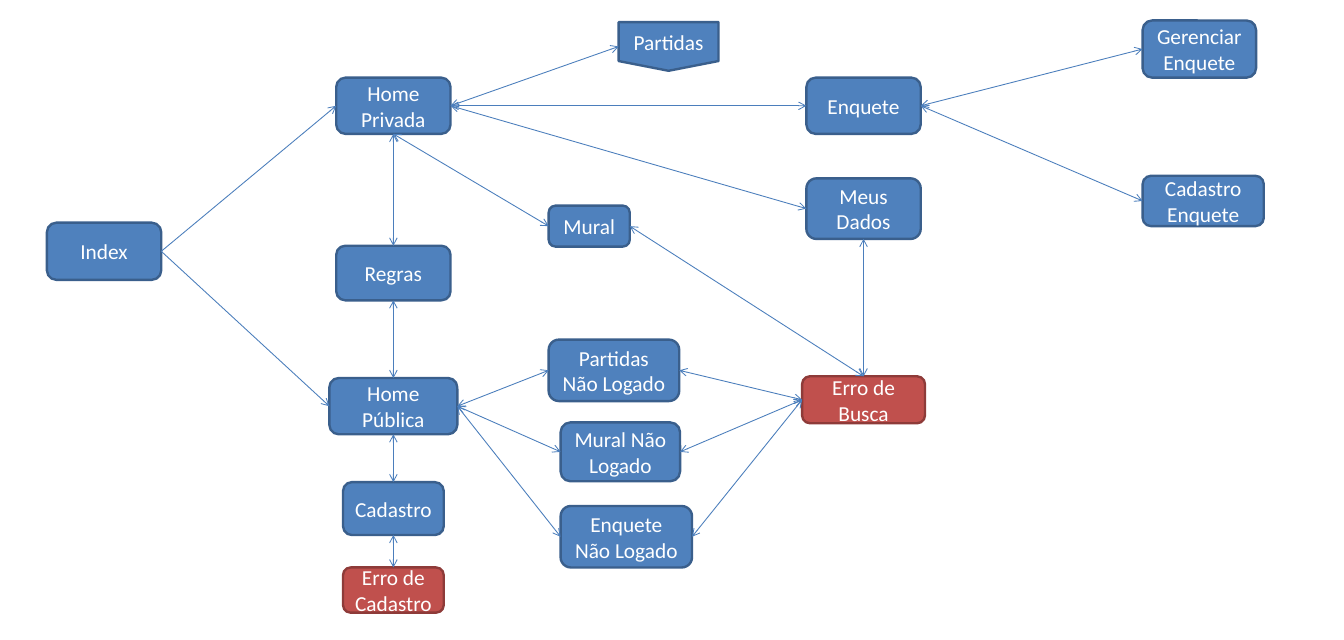
from typing import NamedTuple

from lxml import etree
from pptx import Presentation
from pptx.dml.color import RGBColor
from pptx.enum import shapes as kinds, text
from pptx.oxml import ns
from pptx.util import Inches, Pt

COLORS = {
    "blue": "4F81BD",
    "navy": "3A5F8C",
    "red": "C0504D",
    "maroon": "8E3B39",
    "link": "4B7EBC",
    "white": "FFFFFF",
}
ROUND = kinds.MSO_SHAPE.ROUNDED_RECTANGLE
PAGE = kinds.MSO_SHAPE.FLOWCHART_OFFPAGE_CONNECTOR
TOP, LEFT, BOTTOM, RIGHT = range(4)


class Node(NamedTuple):
    label: str
    left: float
    top: float
    width: float = 1.34
    height: float = 0.66
    fill: str = "blue"
    edge: str = "navy"
    kind: int = ROUND


class Link(NamedTuple):
    start: str
    exit: int
    end: str
    entry: int
    both: bool = True


NODES = [
    Node("Index", 0.55, 2.61, height=0.67),
    Node("Home Pública", 3.86, 4.43, 1.5),
    Node("Home Privada", 3.94, 0.91),
    Node("Regras", 3.94, 2.88, height=0.64),
    Node("Cadastro", 4.02, 5.65, 1.18, 0.62),
    Node("Erro de Cadastro", 4.02, 6.65, 1.18, 0.53, "red", "maroon"),
    Node("Partidas", 7.25, 0.26, 1.17, 0.57, kind=PAGE),
    Node("Mural", 6.43, 2.41, 0.95, 0.48),
    Node("Partidas Não Logado", 6.43, 3.98, 1.53, 0.72),
    Node("Mural Não Logado", 6.57, 4.95, 1.4, 0.69),
    Node("Enquete Não Logado", 6.57, 5.93, 1.54, 0.72),
    Node("Enquete", 9.45, 0.91),
    Node("Meus Dados", 9.45, 2.09, height=0.71),
    Node("Erro de Busca", 9.4, 4.41, 1.44, 0.55, "red", "maroon"),
    Node("Gerenciar Enquete", 13.39, 0.24, 1.33, 0.67),
    Node("Cadastro Enquete", 13.39, 2.06, 1.42, 0.59),
]


def fan(start: str, ends: list[str], both: bool = True) -> list[Link]:
    return [Link(start, RIGHT, end, LEFT, both) for end in ends]


GUEST = ["Partidas Não Logado", "Mural Não Logado", "Enquete Não Logado"]
CHAIN = ["Home Privada", "Regras", "Home Pública", "Cadastro", "Erro de Cadastro"]
LINKS = [
    *fan("Index", ["Home Privada", "Home Pública"], both=False),
    *fan("Home Privada", ["Partidas", "Enquete", "Meus Dados"]),
    *fan("Enquete", ["Gerenciar Enquete", "Cadastro Enquete"]),
    *fan("Home Pública", GUEST),
    *(Link(guest, RIGHT, "Erro de Busca", LEFT) for guest in GUEST),
    *(Link(a, BOTTOM, b, TOP) for a, b in zip(CHAIN, CHAIN[1:])),
    Link("Home Privada", BOTTOM, "Mural", LEFT),
    Link("Mural", RIGHT, "Erro de Busca", TOP),
    Link("Meus Dados", BOTTOM, "Erro de Busca", TOP),
]


def color(name: str) -> RGBColor:
    return RGBColor.from_string(COLORS[name])


def draw_node(slide, node: Node):
    box = slide.shapes.add_shape(
        node.kind,
        Inches(node.left),
        Inches(node.top),
        Inches(node.width),
        Inches(node.height),
    )
    box.shadow.inherit = False
    box.fill.solid()
    box.fill.fore_color.rgb = color(node.fill)
    box.line.color.rgb = color(node.edge)
    box.line.width = Pt(2)
    frame = box.text_frame
    frame.word_wrap = True
    frame.vertical_anchor = text.MSO_ANCHOR.MIDDLE
    frame.text = node.label
    para = frame.paragraphs[0]
    para.alignment = text.PP_ALIGN.CENTER
    para.font.name = "Calibri"
    para.font.size = Pt(18)
    para.font.color.rgb = color("white")
    return box


def draw_link(slide, link: Link, boxes: dict) -> None:
    line = slide.shapes.add_connector(kinds.MSO_CONNECTOR.STRAIGHT, 0, 0, 0, 0)
    line.begin_connect(boxes[link.start], link.exit)
    line.end_connect(boxes[link.end], link.entry)
    line.line.color.rgb = color("link")
    line.line.width = Pt(0.75)
    props = line.line._get_or_add_ln()
    for tag in ["a:headEnd", "a:tailEnd"] if link.both else ["a:tailEnd"]:
        etree.SubElement(props, ns.qn(tag), type="arrow")
    etree.SubElement(line._element.spPr, ns.qn("a:effectLst"))


def main() -> None:
    deck = Presentation()
    deck.slide_width = Inches(15.75)
    deck.slide_height = Inches(7.5)
    slide = deck.slides.add_slide(deck.slide_layouts[6])
    boxes = {node.label: draw_node(slide, node) for node in NODES}
    for link in LINKS:
        draw_link(slide, link, boxes)
    deck.save("out.pptx")


main()
